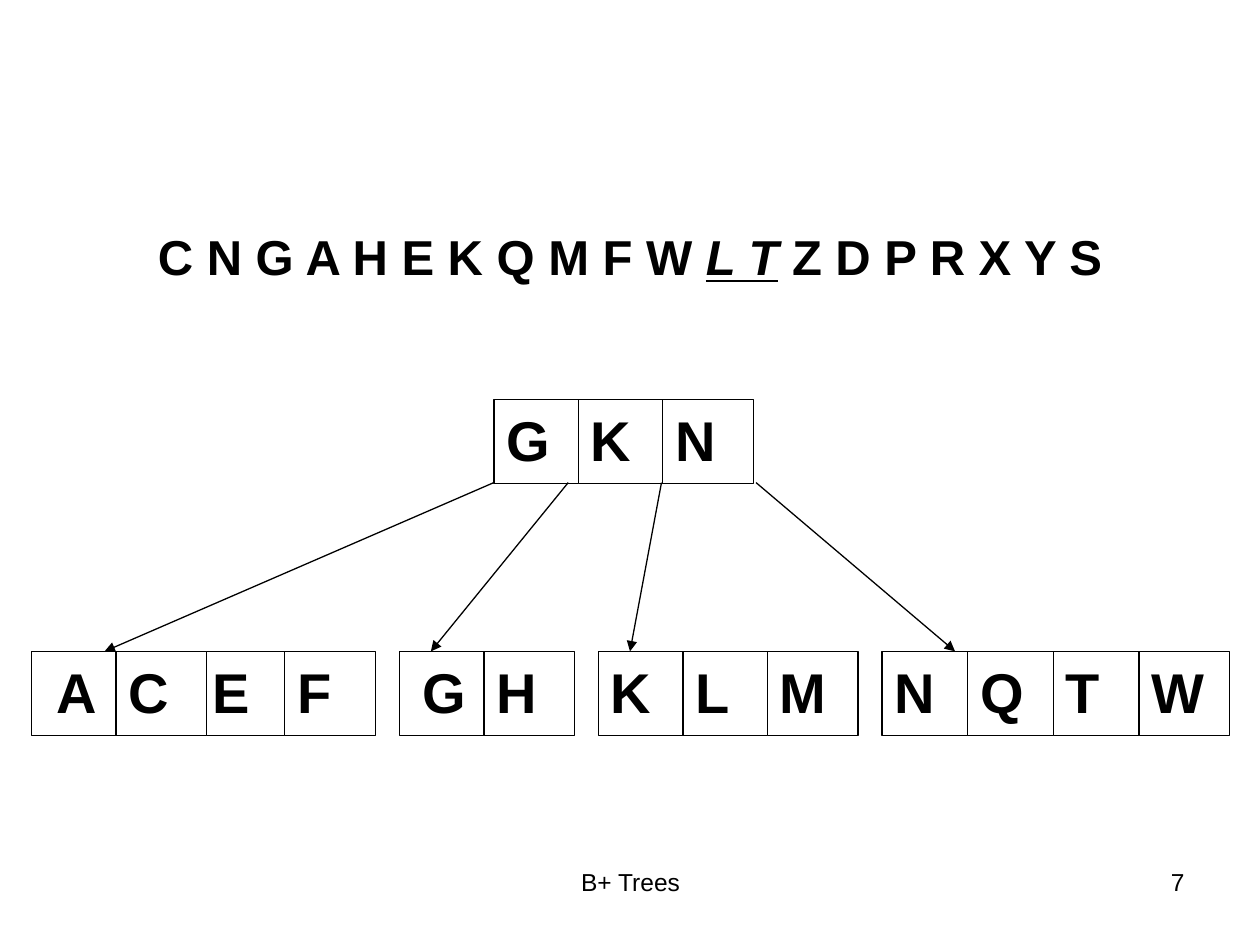
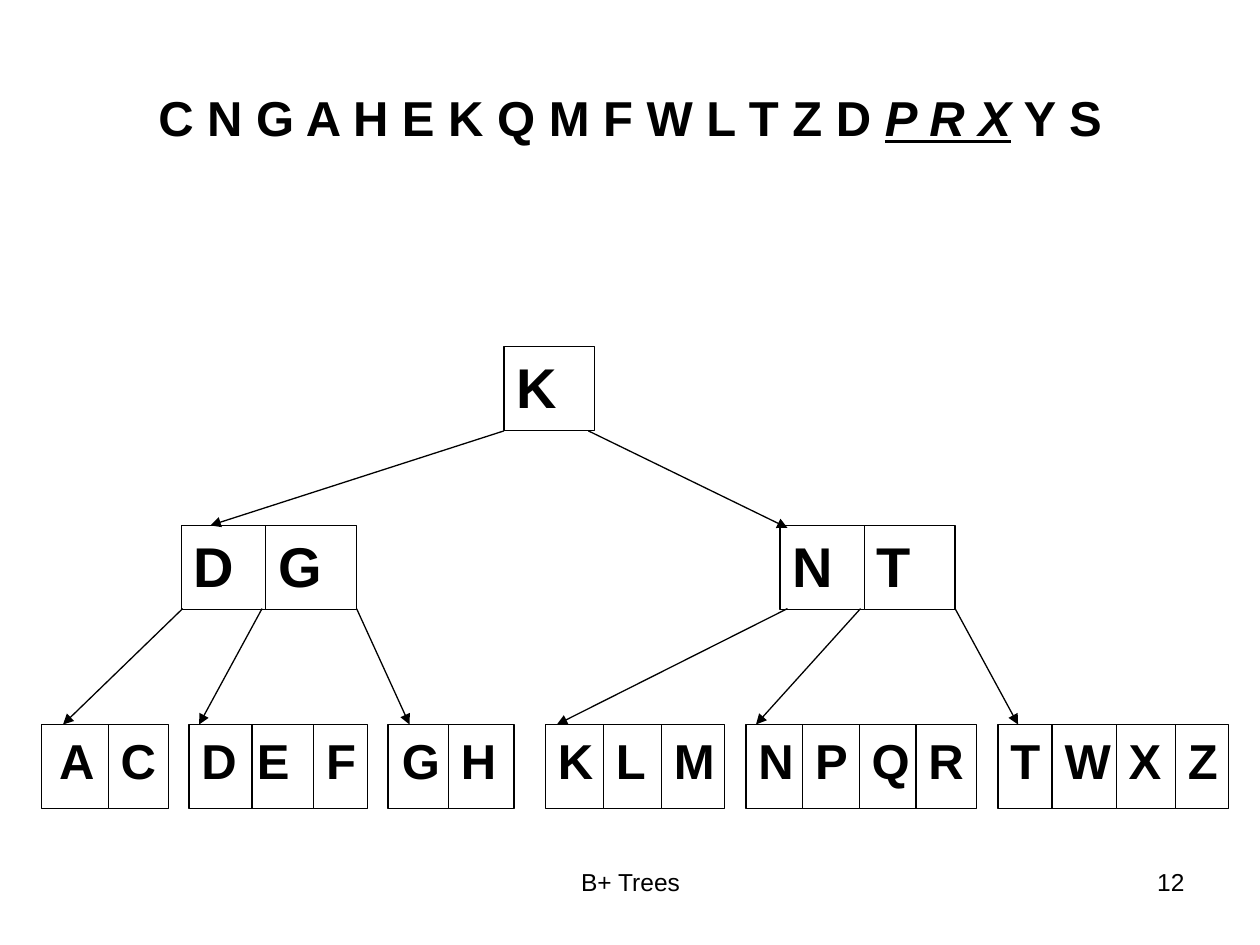
from dataclasses import dataclass

from lxml.etree import SubElement
from pptx import Presentation
from pptx.dml.color import RGBColor
from pptx.enum.shapes import MSO_CONNECTOR, MSO_SHAPE
from pptx.enum.text import MSO_ANCHOR, MSO_AUTO_SIZE, PP_ALIGN
from pptx.oxml.ns import qn
from pptx.util import Inches, Pt


@dataclass(frozen=True)
class Theme:
    ink: RGBColor = RGBColor(0, 0, 0)
    paper: RGBColor = RGBColor(255, 255, 255)
    font: str = "Arial"
    sequence_size: int = 28
    key_size: int = 32
    small_key_size: int = 28
    footer_size: int = 14
    line_width: float = 0.75
    cell_height: float = 0.67


@dataclass(frozen=True)
class Node:
    """A row of key cells; neighbours overlap, so draw_order says which lies on top."""
    keys: str
    top: float
    lefts: tuple
    widths: tuple
    size: int
    center_first: bool = False
    draw_order: str = ""


THEME = Theme()


def even_node(keys, left, top, pitch=0.67, width=0.72, size=THEME.key_size, **options):
    count = len(keys)
    lefts = tuple(left + index * pitch for index in range(count))
    return Node(keys, top, lefts, (width,) * count, size, **options)


def small_node(keys, left, pitch, width, **options):
    return even_node(keys, left, 5.75, pitch, width, THEME.small_key_size, **options)


def uneven_node(keys, lefts, widths, **options):
    return Node(keys, 5.75, lefts, widths, THEME.small_key_size, **options)


FOOTER = "B+ Trees"
LAYOUTS = {"body": 1, "title": 5}

SLIDES = [
    {
        "number": "7",
        "holder": "body",
        "holder_box": (0.5, 1.75, 9, 4.95),
        "sequence": ("C N G A H E K Q M F W ", "L T", " Z D P R X Y S"),
        "nodes": [
            even_node("GKN", 3.92, 3.17),
            even_node("ACEF", 0.25, 5.17, center_first=True, draw_order="EAFC"),
            even_node("GH", 3.17, 5.17, center_first=True),
            even_node("KLM", 4.75, 5.17),
            even_node("NQTW", 7, 5.17, pitch=0.68),
        ],
        "arrows": [
            ((3.92, 3.83), (0.83, 5.17)),
            ((4.51, 3.83), (3.42, 5.17)),
            ((5.25, 3.83), (5, 5.17)),
            ((6, 3.83), (7.58, 5.17)),
        ],
    },
    {
        "number": "12",
        "holder": "title",
        "holder_box": (0.5, 0.3, 9, 1.25),
        "sequence": ("C N G A H E K Q M F W L T Z D ", "P R X", " Y S"),
        "nodes": [
            even_node("K", 4, 2.75),
            even_node("DG", 1.44, 4.17),
            even_node("NT", 6.19, 4.17),
            uneven_node("AC", (0.33, 0.86), (0.56, 0.48), center_first=True),
            uneven_node("DEF", (1.5, 1.94, 2.49), (0.5, 0.6, 0.43), draw_order="EFD"),
            small_node("GH", 3.08, 0.48, 0.52, center_first=True),
            small_node("KLM", 4.33, 0.46, 0.5),
            small_node("NPQR", 5.92, 0.45, 0.48),
            uneven_node("TWXZ", (7.92, 8.35, 8.86, 9.33), (0.47, 0.51, 0.47, 0.42)),
        ],
        "arrows": [
            ((4, 3.42), (1.67, 4.17)),
            ((4.67, 3.42), (6.25, 4.19)),
            ((1.45, 4.83), (0.5, 5.75)),
            ((2.08, 4.83), (1.58, 5.75)),
            ((2.83, 4.83), (3.25, 5.75)),
            ((6.25, 4.83), (4.42, 5.75)),
            ((6.83, 4.83), (6, 5.75)),
            ((7.58, 4.83), (8.08, 5.75)),
        ],
    },
]


def write(shape, *texts, size, bold=False, align=PP_ALIGN.LEFT, anchor=MSO_ANCHOR.TOP, marked=None):
    """Fill the shape with one paragraph; the run at index marked is italic and underlined."""
    frame = shape.text_frame
    frame.word_wrap = True
    frame.auto_size = MSO_AUTO_SIZE.NONE
    frame.vertical_anchor = anchor
    para = frame.paragraphs[0]
    para.alignment = align
    for index, text in enumerate(texts):
        span = para.add_run()
        span.text = text
        font = span.font
        font.name, font.size, font.bold = THEME.font, Pt(size), bold
        font.color.rgb = THEME.ink
        font.italic = font.underline = index == marked
    return para


def style_line(line):
    line.color.rgb = THEME.ink
    line.width = Pt(THEME.line_width)


def add_sequence(page, content):
    for holder in list(page.placeholders):
        is_title = holder.placeholder_format.idx == 0
        if is_title != (content["holder"] == "title"):
            holder.element.getparent().remove(holder.element)
            continue
        holder.left, holder.top, holder.width, holder.height = map(Inches, content["holder_box"])
        para = write(holder, *content["sequence"], size=THEME.sequence_size, bold=True,
                     align=PP_ALIGN.CENTER, marked=1,
                     anchor=MSO_ANCHOR.MIDDLE if is_title else MSO_ANCHOR.TOP)
        if not is_title:
            para.space_before = Pt(7)
            properties = para._p.get_or_add_pPr()
            properties.set("marL", "0")
            properties.set("indent", "0")
            SubElement(properties, qn("a:buNone"))


def add_node(page, node):
    for key in node.draw_order or node.keys:
        index = node.keys.index(key)
        box = page.shapes.add_shape(
            MSO_SHAPE.RECTANGLE, Inches(node.lefts[index]), Inches(node.top),
            Inches(node.widths[index]), Inches(THEME.cell_height))
        box.shadow.inherit = False
        box.fill.solid()
        box.fill.fore_color.rgb = THEME.paper
        style_line(box.line)
        centered = node.center_first and index == 0
        write(box, key, size=node.size, bold=True,
              align=PP_ALIGN.CENTER if centered else PP_ALIGN.LEFT)


def add_arrow(page, start, end):
    arrow = page.shapes.add_connector(MSO_CONNECTOR.STRAIGHT, *map(Inches, start + end))
    style_line(arrow.line)
    SubElement(arrow.line._get_or_add_ln(), qn("a:tailEnd"), type="triangle")
    SubElement(arrow._element.spPr, qn("a:effectLst"))


def add_footer(page, number):
    for text, left, width, align in ((FOOTER, 3.42, 3.17, PP_ALIGN.CENTER),
                                     (number, 7.17, 2.33, PP_ALIGN.RIGHT)):
        box = page.shapes.add_textbox(Inches(left), Inches(6.83), Inches(width), Inches(0.52))
        write(box, text, size=THEME.footer_size, align=align)


def main():
    deck = Presentation()
    deck.slide_width, deck.slide_height = Inches(10), Inches(7.5)
    for content in SLIDES:
        page = deck.slides.add_slide(deck.slide_layouts[LAYOUTS[content["holder"]]])
        add_sequence(page, content)
        for node in content["nodes"]:
            add_node(page, node)
        for start, end in content["arrows"]:
            add_arrow(page, start, end)
        add_footer(page, content["number"])
    deck.save("out.pptx")


if __name__ == "__main__":
    main()
